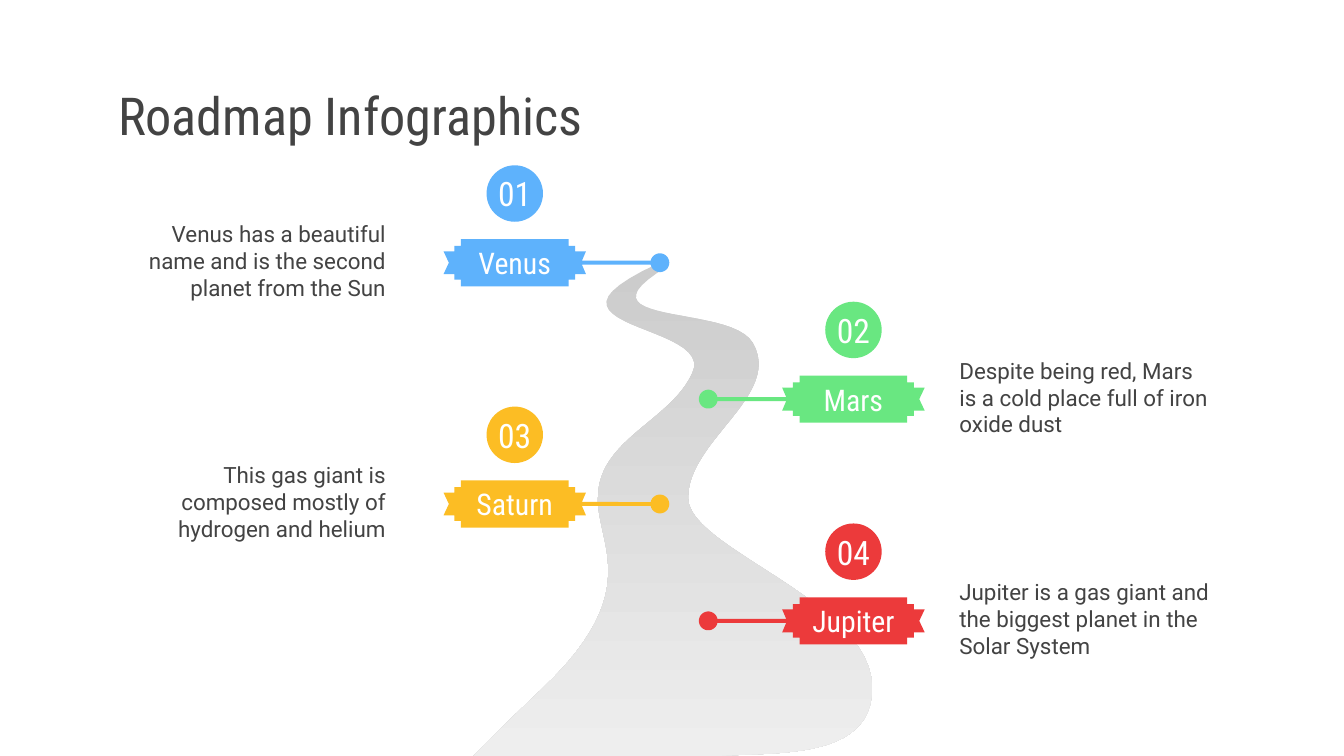
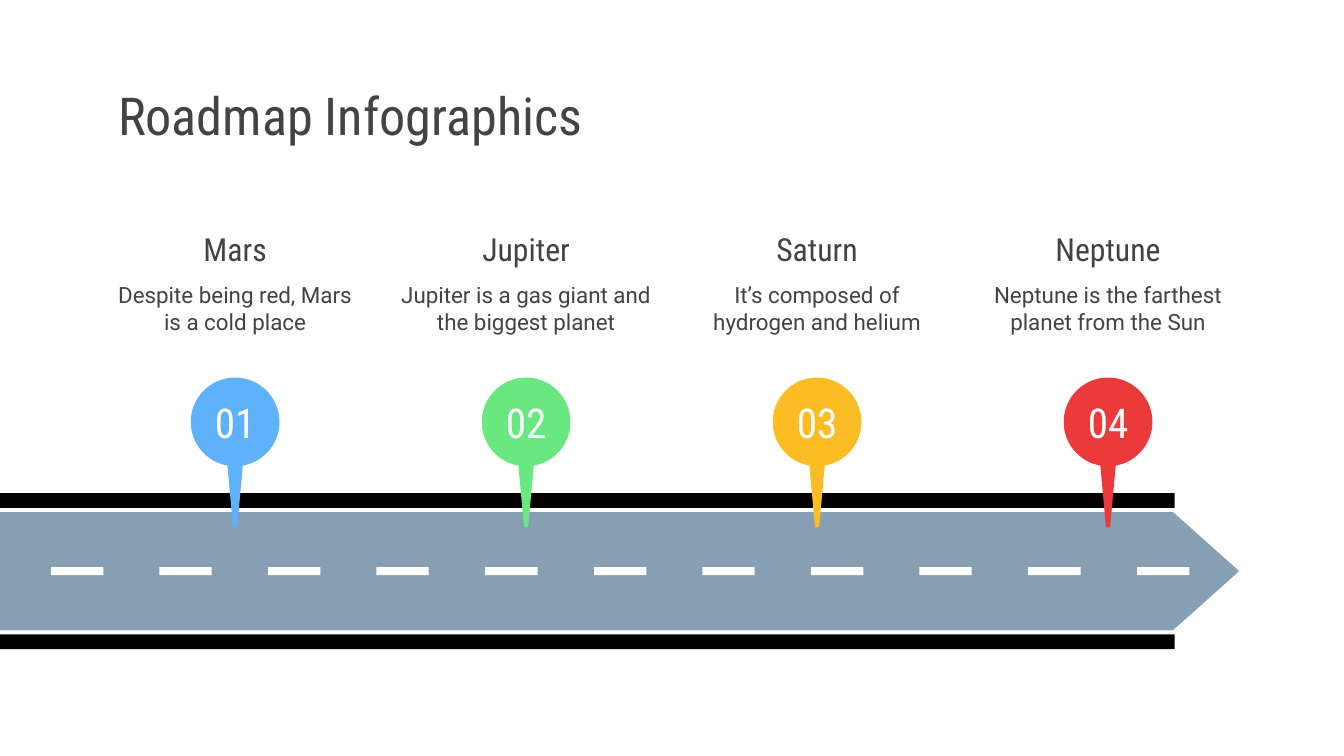
"""Build two roadmap slides: a winding road and a straight road with pins."""
from dataclasses import dataclass
from math import cos, radians, sin

from pptx import Presentation
from pptx.dml.color import RGBColor as RGB
from pptx.enum.shapes import MSO_SHAPE as Kind
from pptx.enum.text import MSO_ANCHOR as Anchor, PP_ALIGN as Align
from pptx.util import Pt

PX = 4572


@dataclass(frozen=True)
class Theme:
    ink: str = "434343"
    white: str = "FFFFFF"
    black: str = "000000"
    road: str = "869FB2"
    far: str = "CCCCCC"
    near: str = "EEEEEE"
    blue: str = "5EB2FC"
    green: str = "69E781"
    gold: str = "FCBD24"
    red: str = "EC3A3B"
    head: str = "Roboto Condensed"
    plain: str = "Roboto"
    title: int = 28
    pin: int = 22
    disc: int = 18
    name: int = 17
    tag: int = 16
    body: int = 12


T = Theme()

BENDS = [
    (766, 490, 1068, 480, 1030, 556),
    (998, 626, 892, 654, 890, 738),
    (886, 808, 962, 878, 808, 1024),
    (730, 1098, 704, 1126, 704, 1126),
    (704, 1126, 1058, 1126, 1058, 1126),
    (1142, 1118, 1298, 1136, 1298, 1024),
    (1298, 894, 1026, 818, 1024, 742),
    (1022, 656, 1166, 588, 1120, 510),
    (1086, 452, 846, 486, 994, 396),
    (988, 396, 982, 392, 980, 392),
]
TAG_W, TAG_H = 336, 70
TAG_TOP = [(0, 18), (16, 18), (16, 10), (26, 10), (26, 0), (186, 0),
           (186, 10), (196, 10), (196, 18), (212, 18), (206, 32)]

STOPS = [
    ("01", "Venus", "Venus has a beautiful name and is the second planet from the Sun",
     T.blue, 356, False),
    ("03", "Saturn", "This gas giant is composed mostly of hydrogen and helium",
     T.gold, 715, False),
    ("02", "Mars", "Despite being red, Mars is a cold place full of iron oxide dust",
     T.green, 559, True),
    ("04", "Jupiter", "Jupiter is a gas giant and the biggest planet in the Solar System",
     T.red, 889, True),
]
PINS = [
    ("01", "Mars", "Despite being red, Mars is a cold place", T.blue),
    ("02", "Jupiter", "Jupiter is a gas giant and the biggest planet", T.green),
    ("03", "Saturn", "It’s composed of hydrogen and helium", T.gold),
    ("04", "Neptune", "Neptune is the farthest planet from the Sun", T.red),
]


def scale(*spans):
    return [round(span * PX) for span in spans]


def paint(shape, color):
    shape.shadow.inherit = False
    shape.line.fill.background()
    shape.fill.solid()
    shape.fill.fore_color.rgb = RGB.from_string(color)
    return shape


def write(shape, words, size, color=T.ink, face=T.head, align=Align.CENTER,
          anchor=Anchor.MIDDLE, pad=20, top=None):
    frame = shape.text_frame
    frame.word_wrap = True
    frame.vertical_anchor = anchor
    side, head = scale(pad, pad if top is None else top)
    frame.margin_left = frame.margin_right = frame.margin_bottom = side
    frame.margin_top = head
    par = frame.paragraphs[0]
    par.text = words
    par.alignment = align
    par.font.size = Pt(size)
    par.font.name = face
    par.font.color.rgb = RGB.from_string(color)


def label(slide, box, words, size, **style):
    write(slide.shapes.add_textbox(*scale(*box)), words, size, **style)


def block(slide, kind, box, color):
    return paint(slide.shapes.add_shape(kind, *scale(*box)), color)


def outline(slide, points, color):
    first, *rest = [scale(*point) for point in points]
    pen = slide.shapes.build_freeform(*first)
    pen.add_line_segments(rest)
    return paint(pen.convert_to_shape(), color)


def arc(x, y, r, start, end, step):
    return [(x + r * cos(radians(a)), y + r * sin(radians(a)))
            for a in range(start, end + 1, step)]


def trace(start, bends, steps=24):
    points = [start]
    for ax, ay, bx, by, cx, cy in bends:
        ox, oy = points[-1]
        for i in range(1, steps + 1):
            t = i / steps
            u = 1 - t
            k, m, n, p = u ** 3, 3 * u * u * t, 3 * u * t * t, t ** 3
            points.append((k * ox + m * ax + n * bx + p * cx,
                           k * oy + m * ay + n * by + p * cy))
    return points


def start(deck):
    slide = deck.slides.add_slide(deck.slide_layouts[6])
    label(slide, (156, 118, 1690, 106), "Roadmap Infographics", T.title,
          align=Align.LEFT)
    return slide


def winding(slide):
    shape = outline(slide, trace((980, 392), BENDS), T.far)
    shape.fill.gradient()
    shape.fill.gradient_angle = 270
    for stop, color in zip(shape.fill.gradient_stops, (T.far, T.near)):
        stop.color.rgb = RGB.from_string(color)


def stop(slide, mark, name, words, color, top, right):
    left = 1040 if right else 660

    def place(x, width=0):
        return left + (TAG_W - x - width if right else x)

    low = [(x, TAG_H - y) for x, y in reversed(TAG_TOP)]
    edge = TAG_TOP + arc(322, 35, 14, -168, 168, 12) + low + [(8, 35)]
    outline(slide, [(place(x), top + y) for x, y in edge], color)
    disc = block(slide, Kind.OVAL, (place(64, 84), top - 110, 84, 84), color)
    write(disc, mark, T.disc, T.white, pad=0)
    label(slide, (place(30, 152), top + 4, 152, 62), name, T.tag,
          color=T.white, pad=0)
    label(slide, (1408 if right else 182, top - 48, 412, 168), words, T.body,
          face=T.plain, anchor=Anchor.TOP,
          align=Align.LEFT if right else Align.RIGHT)


def highway(slide):
    road = block(slide, Kind.PENTAGON, (0, 762, 1844, 176), T.road)
    road.adjustments[0] = 0.56
    for y in (734, 944):
        block(slide, Kind.RECTANGLE, (0, y, 1748, 22), T.black)
    for i in range(11):
        block(slide, Kind.RECTANGLE, (76 + 1616 * i // 10, 844, 78, 12), T.white)


def pin(slide, x, mark, name, words, color):
    edge = arc(x, 628, 66, 100, 440, 5) + [(x + 3, 785), (x - 3, 785)]
    write(outline(slide, edge, color), mark, T.pin, T.white,
          anchor=Anchor.TOP, top=30)
    label(slide, (x - 206, 324, 412, 94), name, T.name)
    label(slide, (x - 206, 398, 412, 116), words, T.body, face=T.plain,
          anchor=Anchor.TOP)


def main():
    deck = Presentation()
    deck.slide_width, deck.slide_height = scale(2000, 1125)

    slide = start(deck)
    winding(slide)
    for item in STOPS:
        stop(slide, *item)

    slide = start(deck)
    highway(slide)
    for i, item in enumerate(PINS):
        pin(slide, 350 + 433 * i, *item)

    deck.save("out.pptx")


if __name__ == "__main__":
    main()
